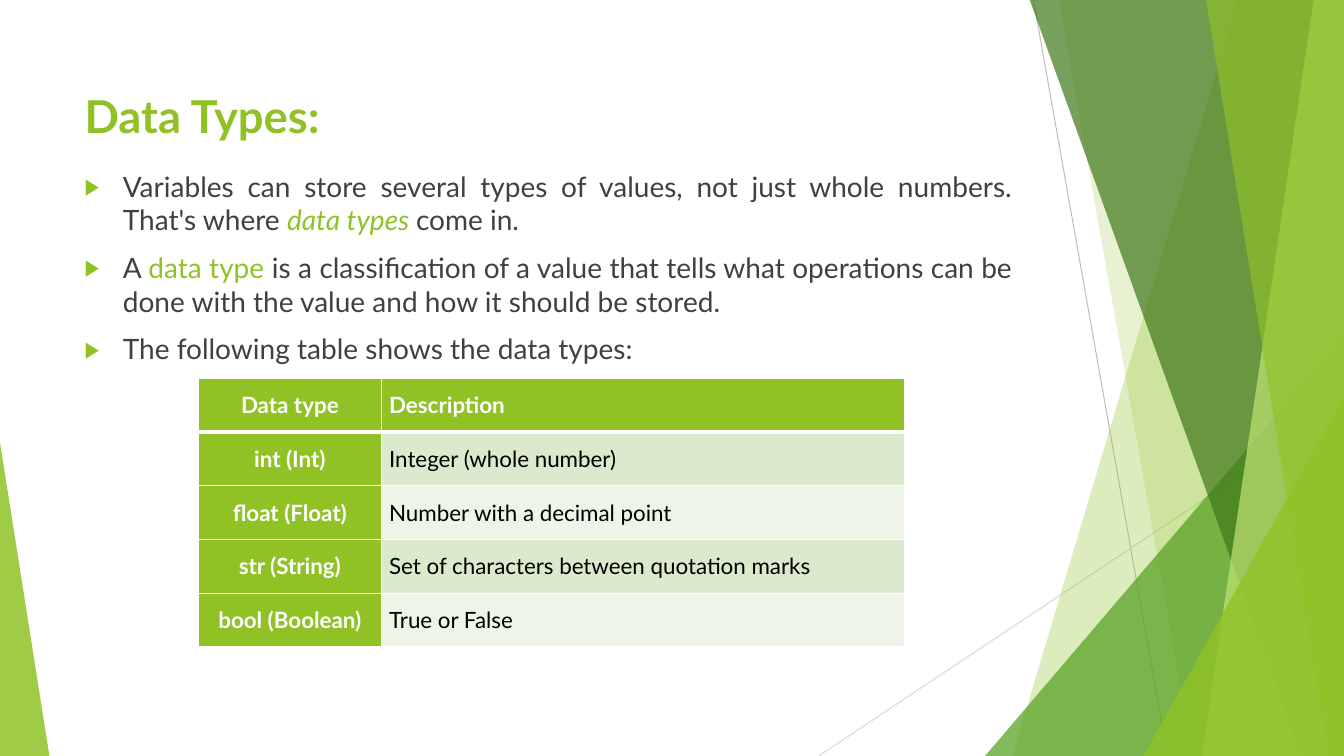
from dataclasses import dataclass

from lxml import etree
from pptx import Presentation
from pptx import util as u
from pptx.dml.color import RGBColor
from pptx.enum import shapes, text
from pptx.oxml.ns import qn

SCALE = u.Inches(1) // 100  # EMU in one px
W, H = 1333, 750


def px(*values):
    return [u.Emu(v * SCALE) for v in values]


def rgb(value):
    return RGBColor.from_string(value)


def sub(parent, tag, **attrs):
    return etree.SubElement(parent, qn(tag), attrs)


@dataclass(frozen=True)
class Theme:
    font: str = "Lato"
    green: str = "90C226"
    leaf: str = "54A021"
    forest: str = "3F7819"
    lime: str = "C0E474"
    ink: str = "404040"
    black: str = "000000"
    white: str = "FFFFFF"
    bands: tuple = ("DBE9CD", "EEF4E8")
    rules: tuple = ("BFBFBF", "D9D9D9")
    title: float = 32.4
    body: int = 20
    cell: int = 16


class Deck:
    def __init__(self, theme):
        self.t = theme
        self.prs = Presentation()
        self.prs.slide_width, self.prs.slide_height = px(W, H)
        self.s = self.prs.slides.add_slide(self.prs.slide_layouts[6])

    def line(self, x1, y1, x2, y2, color):
        c = self.s.shapes.add_connector(
            shapes.MSO_CONNECTOR.STRAIGHT, *px(x1, y1, x2, y2))
        c.line.color.rgb, c.line.width = rgb(color), u.Pt(0.75)
        sub(c.element.spPr, "a:effectLst")

    def paint(self, sp, color, opacity):
        sp.shadow.inherit = False
        sp.fill.solid()
        sp.fill.fore_color.rgb = rgb(color)
        sp.line.fill.background()
        clr = sp.element.spPr.find(qn("a:solidFill"))[0]
        sub(clr, "a:alpha", val=str(opacity * 1000))

    def polygon(self, points, color, opacity):
        fb = self.s.shapes.build_freeform(*points[0], scale=SCALE)
        fb.add_line_segments(points[1:], close=True)
        self.paint(fb.convert_to_shape(), color, opacity)

    def triangle(self, x, y, w, apex, color, opacity):
        sp = self.s.shapes.add_shape(
            shapes.MSO_SHAPE.ISOSCELES_TRIANGLE, *px(x, y, w, H - y))
        sp.adjustments[0] = apex
        self.paint(sp, color, opacity)

    def run(self, p, words, **fmt):
        r = p.add_run()
        r.text = words
        r.font.color.rgb = rgb(fmt.pop("color"))
        for name, value in {"name": self.t.font, **fmt}.items():
            setattr(r.font, name, value)

    def box(self, x, y, w, h, anchor):
        tf = self.s.shapes.add_textbox(*px(x, y, w, h)).text_frame
        tf.word_wrap, tf.vertical_anchor = True, anchor
        return tf

    def title(self, words, *place):
        tf = self.box(*place, text.MSO_ANCHOR.MIDDLE)
        self.run(tf.paragraphs[0], words, color=self.t.green,
                 size=u.Pt(self.t.title), bold=True)

    def bullets(self, items, *place):
        tf = self.box(*place, text.MSO_ANCHOR.TOP)
        for i, runs in enumerate(items):
            p = tf.add_paragraph() if i else tf.paragraphs[0]
            p.alignment = text.PP_ALIGN.JUSTIFY
            p.space_before = u.Pt(10 if i else 0)
            pPr = p._p.get_or_add_pPr()
            indent, = px(38)
            pPr.set("marL", str(indent))
            pPr.set("indent", str(-indent))
            sub(sub(pPr, "a:buClr"), "a:srgbClr", val=self.t.green)
            sub(pPr, "a:buSzPct", val="80000")
            sub(pPr, "a:buFont", typeface=self.t.font)
            sub(pPr, "a:buChar", char="▶")
            for words, fmt in runs:
                self.run(p, words, **{"color": self.t.ink,
                                      "size": u.Pt(self.t.body), **fmt})

    def borders(self, cell, **widths):
        tcPr = cell._tc.get_or_add_tcPr()
        for side in "LRTB":
            ln = sub(tcPr, f"a:ln{side}", w=str(u.Pt(widths.get(side, 1))))
            sub(sub(ln, "a:solidFill"), "a:srgbClr", val=self.t.white)

    def table(self, rows, widths, x, y, h):
        t = self.t
        tbl = self.s.shapes.add_table(
            len(rows), len(widths), *px(x, y, sum(widths), h)).table
        tbl.first_col = True
        for col, w in zip(tbl.columns, px(*widths)):
            col.width = w
        inset, = px(8)
        for i, row in enumerate(rows):
            for j, words in enumerate(row):
                cell = tbl.cell(i, j)
                head = i == 0 or j == 0
                self.borders(cell, **{0: {"B": 3}, 1: {"T": 3}}.get(i, {}))
                cell.fill.solid()
                cell.fill.fore_color.rgb = rgb(
                    t.green if head else t.bands[(i - 1) % 2])
                cell.vertical_anchor = text.MSO_ANCHOR.MIDDLE
                for side in ("left", "right", "top", "bottom"):
                    setattr(cell, f"margin_{side}", inset)
                p = cell.text_frame.paragraphs[0]
                p.alignment = (text.PP_ALIGN.JUSTIFY if j
                               else text.PP_ALIGN.CENTER)
                self.run(p, words, size=u.Pt(t.cell), bold=head,
                         color=t.white if head else t.black)


def main():
    t = Theme()
    d = Deck(t)

    # Thin rules behind the facets
    d.line(1025, 0, 1158, H, t.rules[0])
    d.line(W, 403, 812, H, t.rules[1])

    # Green facets: each runs from a top x and a bottom x to the right edge
    def facet(top, bottom, color, opacity):
        d.polygon([(top, -1), (W, -1), (W, H), (bottom, H)], color, opacity)

    facet(1228, 1004, t.green, 30)
    facet(1050, 1183, t.green, 20)
    d.triangle(977, 333, 356, 1, t.leaf, 72)
    facet(1021, 1291, t.forest, 70)
    facet(1303, 1192, t.lime, 70)
    facet(1196, 1318, t.green, 65)
    d.triangle(1134, 393, 199, 1, t.green, 80)
    d.triangle(0, 439, 49, 0, t.green, 85)

    # Title and bullets
    d.title("Data Types:", 74, 80, 940, 68)
    accent = {"color": t.green}
    d.bullets([
        [("Variables can store several types of values, not just whole "
          "numbers. That's where ", {}),
         ("data types ", {**accent, "italic": True}),
         ("come in.", {})],
        [("A ", {}), ("data type ", accent),
         ("is a classification of a value that tells what operations can be "
          "done with the value and how it should be stored.", {})],
        [("The following table shows the data types:", {})],
    ], 74, 163, 940, 212)

    # Table of data types
    d.table([
        ("Data type", "Description"),
        ("int (Int)", "Integer (whole number)"),
        ("float (Float)", "Number with a decimal point"),
        ("str (String)", "Set of characters between quotation marks"),
        ("bool (Boolean)", "True or False"),
    ], (181, 519), 197, 375, 267)

    d.prs.save("out.pptx")


if __name__ == "__main__":
    main()
